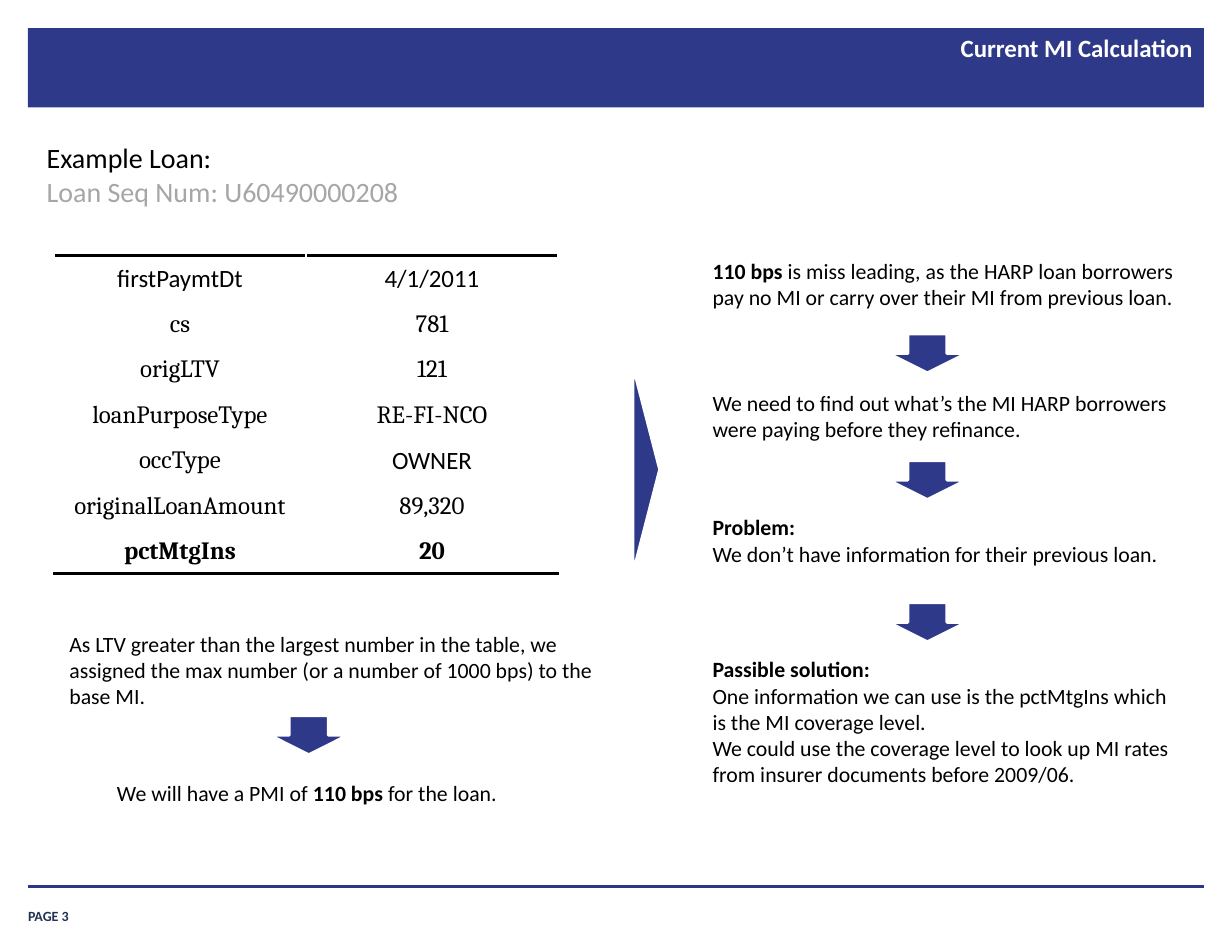
"""Builds the slide on the current mortgage insurance calculation for an example loan."""
from lxml import etree
from pptx import Presentation
from pptx import util as u
from pptx.dml import color
from pptx.enum import shapes, text
from pptx.oxml import ns

NAVY, BLACK, WHITE = "2E398A", "000000", "FFFFFF"


def rgb(value):
    return color.RGBColor.from_string(value)


def add_text(box, lines, size=14, colors=(BLACK,), align=text.PP_ALIGN.LEFT):
    frame = box.text_frame
    frame.word_wrap = True
    for index, runs in enumerate(lines):
        paragraph = frame.paragraphs[0] if index == 0 else frame.add_paragraph()
        paragraph.alignment = align
        paragraph.font.name = "Calibri"
        paragraph.font.size = u.Pt(size)
        paragraph.font.color.rgb = rgb(colors[index % len(colors)])
        if len(runs) == 1:
            paragraph.font.bold = runs[0][1]
        for words, bold in runs:
            run = paragraph.add_run()
            run.text = words
            if len(runs) > 1:
                run.font.bold = bold
    return frame


deck = Presentation()
deck.slide_width, deck.slide_height = u.Pt(792), u.Pt(612)
slide = deck.slides.add_slide(deck.slide_layouts[5])
parts = slide.shapes

band = parts.add_shape(shapes.MSO_SHAPE.RECTANGLE, u.Pt(18), u.Pt(18), u.Pt(756), u.Pt(51))
band.shadow.inherit = False
band.fill.solid()
band.fill.fore_color.rgb = rgb(NAVY)
band.line.fill.background()

title = parts.title
band._element.addnext(title._element)
title.left, title.top, title.width, title.height = u.Pt(239), u.Pt(17.3), u.Pt(535.7), u.Pt(53.3)
heading = add_text(title, [[("Current MI Calculation", True)]], 16, (WHITE,), text.PP_ALIGN.RIGHT)
heading.vertical_anchor = text.MSO_ANCHOR.TOP
heading.auto_size = text.MSO_AUTO_SIZE.NONE
heading.margin_left = heading.margin_right = u.Pt(7.92)
heading.margin_top = heading.margin_bottom = u.Pt(4)

footer_rule = parts.add_connector(shapes.MSO_CONNECTOR.STRAIGHT, u.Pt(18), u.Pt(570), u.Pt(774), u.Pt(570))
footer_rule.line.color.rgb = rgb("2B3689")
footer_rule.line.width = u.Pt(2)
etree.SubElement(footer_rule._element.spPr, ns.qn("a:effectLst"))

page_label = parts.add_textbox(u.Pt(18), u.Pt(577.4), u.Pt(65.5), u.Pt(16.6))
page_frame = add_text(page_label, [[("PAGE 3", True)]], 9, ("203353",))
page_frame.vertical_anchor = text.MSO_ANCHOR.BOTTOM
page_frame.margin_left = page_frame.margin_right = page_frame.margin_top = page_frame.margin_bottom = 0

loan_label = parts.add_textbox(u.Pt(23), u.Pt(87), u.Pt(354), u.Pt(51))
add_text(loan_label, [[("Example Loan:", False)], [("Loan Seq Num: U60490000208", False)]],
         18, (BLACK, "A6A6A6"))

loan_fields = [
    ("firstPaymtDt", "4/1/2011"),
    ("cs", "781"),
    ("origLTV", "121"),
    ("loanPurposeType", "RE-FI-NCO"),
    ("occType", "OWNER"),
    ("originalLoanAmount", "89,320"),
    ("pctMtgIns", "20"),
]
calibri_values = ("firstPaymtDt", "4/1/2011", "OWNER")
last = len(loan_fields) - 1
loan_table = parts.add_table(len(loan_fields), 2, u.Pt(34.7), u.Pt(164.4), u.Pt(324), u.Pt(204.4)).table
loan_table.first_row = loan_table.horz_banding = False
for r, field in enumerate(loan_fields):
    loan_table.rows[r].height = u.Pt(29.2)
    for c, value in enumerate(field):
        cell = loan_table.cell(r, c)
        cell.text = value
        cell.vertical_anchor = text.MSO_ANCHOR.MIDDLE
        cell.margin_left = cell.margin_right = cell.margin_top = u.Pt(0.7)
        cell.margin_bottom = 0
        cell.fill.solid()
        cell.fill.fore_color.rgb = rgb(WHITE)
        entry = cell.text_frame.paragraphs[0]
        entry.alignment = text.PP_ALIGN.CENTER
        entry.font.name = "Calibri" if value in calibri_values else "Cambria"
        entry.font.size = u.Pt(16)
        entry.font.bold = r == last
        entry.font.color.rgb = rgb(BLACK)
        if r in (0, last):
            border = etree.Element(ns.qn("a:lnT" if r == 0 else "a:lnB"), w=str(u.Pt(2)))
            paint = etree.SubElement(border, ns.qn("a:solidFill"))
            etree.SubElement(paint, ns.qn("a:srgbClr"), val=BLACK)
            cell._tc.get_or_add_tcPr().insert(0, border)

notes = [
    (37.5, 401.8, 371.5, 58.3, text.PP_ALIGN.LEFT, [
        [("As LTV greater than the largest number in the table, we assigned the max number "
          "(or a number of 1000 bps) to the base MI.", False)]]),
    (44, 497.5, 306.7, 24.5, text.PP_ALIGN.CENTER, [
        [("We will have a PMI of ", False), ("110 bps ", True), ("for the loan.", False)]]),
    (451, 162, 318, 41, text.PP_ALIGN.LEFT, [
        [("110 bps ", True), ("is miss leading, as the HARP loan borrowers pay no MI or carry "
                              "over their MI from previous loan.", False)]]),
    (451, 247, 318, 41, text.PP_ALIGN.LEFT, [
        [("We need to find out what’s the MI HARP borrowers were paying before they refinance.", False)]]),
    (451, 327, 318, 41, text.PP_ALIGN.LEFT, [
        [("Problem:", True)],
        [("We don’t have information for their previous loan.", False)]]),
    (451, 418.3, 318, 92, text.PP_ALIGN.LEFT, [
        [("Passible solution:", True)],
        [("One information we can use is the pctMtgIns which is the MI coverage level.", False)],
        [("We could use the coverage level to look up MI rates from insurer documents before 2009/06.", False)]]),
]
for left, top, width, height, align, lines in notes:
    note = parts.add_textbox(u.Pt(left), u.Pt(top), u.Pt(width), u.Pt(height))
    add_text(note, lines, align=align)

down, wedge = shapes.MSO_SHAPE.DOWN_ARROW, shapes.MSO_SHAPE.ISOSCELES_TRIANGLE
markers = [(down, 173.3, 460, 50.4, 25.2, 0), (wedge, 348.5, 293.2, 134, 17.3, 90)]
markers += [(down, 571, top, 50.4, 25.2, 0) for top in (214.6, 296, 387.4)]
for kind, left, top, width, height, turn in markers:
    marker = parts.add_shape(kind, u.Pt(left), u.Pt(top), u.Pt(width), u.Pt(height))
    marker.rotation = turn
    marker.shadow.inherit = False
    marker.fill.solid()
    marker.fill.fore_color.rgb = rgb(NAVY)
    marker.line.color.rgb = rgb(WHITE)
    marker.line.width = u.Pt(2)

deck.save("out.pptx")
